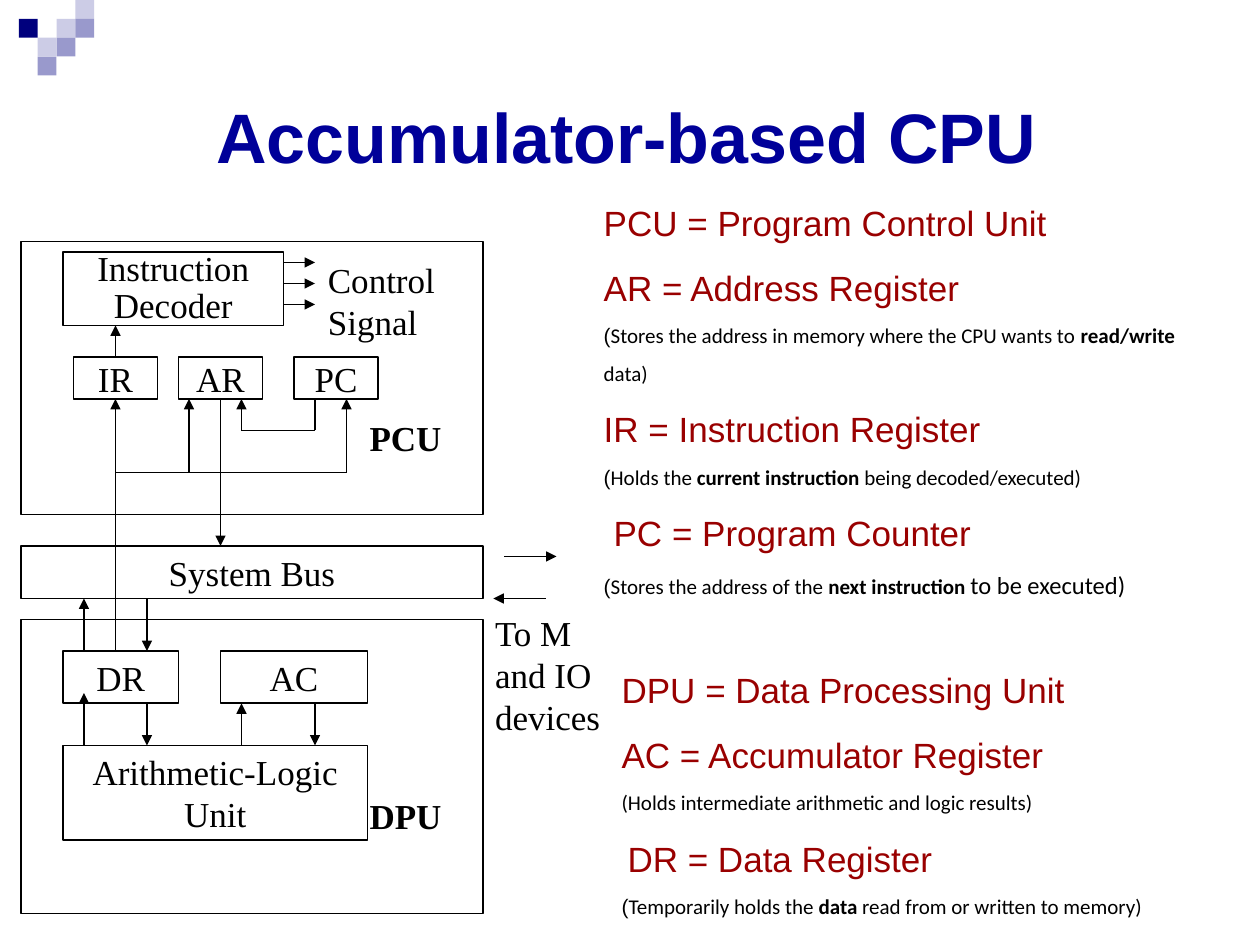
from dataclasses import dataclass, replace

from lxml.etree import SubElement
from pptx import Presentation
from pptx.dml.color import RGBColor
from pptx.enum.shapes import MSO_CONNECTOR, MSO_SHAPE
from pptx.enum.text import MSO_ANCHOR, MSO_AUTO_SIZE, PP_ALIGN
from pptx.oxml.ns import qn
from pptx.util import Cm, Pt

BLACK = RGBColor(0x00, 0x00, 0x00)
TITLE_BLUE = RGBColor(0x00, 0x00, 0x99)
TERM_RED = RGBColor(0x99, 0x00, 0x00)
NAVY = RGBColor(0x00, 0x00, 0x7D)
LILAC = RGBColor(0x99, 0x99, 0xCC)
PALE_LILAC = RGBColor(0xCC, 0xCC, 0xE6)

TOP, BOTTOM = 0, 2  # connection sites of a rectangle


@dataclass
class Ink:
    font: str
    size: int
    color: RGBColor = BLACK
    bold: bool = False


TITLE = Ink("Arial", 40, TITLE_BLUE, True)
TERM = Ink("Arial", 20, TERM_RED)
BRACKET = Ink("Arial", 12)
NOTE = Ink("Calibri", 12)
STRONG = replace(NOTE, bold=True)
LARGE_NOTE = replace(NOTE, size=14)
DIAGRAM = Ink("Times New Roman", 20)
UNIT = replace(DIAGRAM, bold=True)


def grid(steps):
    """The diagram sits on a grid of twelve steps to 2.54 cm."""
    return Cm(2.54 * steps / 12)


class SlideBuilder:
    line_width = Pt(1)
    square = 0.38

    def __init__(self, slide):
        self.slide = slide
        self.shapes = slide.shapes

    def add_runs(self, paragraph, runs):
        for text, ink in runs:
            run = paragraph.add_run()
            run.text = text
            run.font.name = ink.font
            run.font.size = Pt(ink.size)
            run.font.bold = ink.bold
            run.font.color.rgb = ink.color

    def frame(self, shape, side=0.0, top=0.03, anchor=MSO_ANCHOR.TOP):
        frame = shape.text_frame
        frame.word_wrap = True
        frame.auto_size = MSO_AUTO_SIZE.NONE
        frame.vertical_anchor = anchor
        frame.margin_left = frame.margin_right = Cm(side)
        frame.margin_top, frame.margin_bottom = Cm(top), 0
        return frame

    def place(self, shape, left, top, width, height):
        shape.left, shape.top = Cm(left), Cm(top)
        shape.width, shape.height = Cm(width), Cm(height)

    def title(self, text, *area):
        heading = self.shapes.title
        self.place(heading, *area)
        paragraph = self.frame(heading).paragraphs[0]
        paragraph.alignment = PP_ALIGN.CENTER
        self.add_runs(paragraph, [(text, TITLE)])

    def glossary(self, index, entries, *area):
        """Each entry is an indent in cm and its runs."""
        body = self.slide.placeholders[index]
        self.place(body, *area)
        frame = self.frame(body)
        for number, (indent, runs) in enumerate(entries):
            paragraph = frame.add_paragraph() if number else frame.paragraphs[0]
            paragraph.line_spacing = 1.5
            paragraph.space_before = Pt(0.9)
            properties = paragraph._p.get_or_add_pPr()
            properties.set("marL", str(Cm(0.03 + indent)))
            properties.set("indent", "0")
            SubElement(properties, qn("a:buNone"))
            self.add_runs(paragraph, runs)

    def tile(self, column, row, color):
        step = Cm(self.square)
        tile = self.shapes.add_shape(
            MSO_SHAPE.RECTANGLE, column * step, row * step, step, step)
        tile.shadow.inherit = False
        tile.fill.solid()
        tile.fill.fore_color.rgb = color
        tile.line.fill.background()

    def block(self, area, *lines, spacing=None):
        block = self.shapes.add_shape(MSO_SHAPE.RECTANGLE, *map(grid, area))
        block.shadow.inherit = False
        block.fill.background()
        block.line.color.rgb = BLACK
        block.line.width = self.line_width
        frame = self.frame(block, 0.1, 0, MSO_ANCHOR.MIDDLE)
        for number, text in enumerate(lines):
            paragraph = frame.add_paragraph() if number else frame.paragraphs[0]
            paragraph.alignment = PP_ALIGN.CENTER
            paragraph.line_spacing = spacing
            self.add_runs(paragraph, [(text, DIAGRAM)])
        return block

    def label(self, text, ink, *area):
        box = self.shapes.add_textbox(*map(Cm, area))
        self.add_runs(self.frame(box, 0.03, 0.06).paragraphs[0], [(text, ink)])

    def wire(self, start, end, arrow=True, begin=None, finish=None):
        wire = self.shapes.add_connector(
            MSO_CONNECTOR.STRAIGHT, *map(grid, start + end))
        if begin:
            wire.begin_connect(*begin)
        if finish:
            wire.end_connect(*finish)
        wire.line.color.rgb = BLACK
        wire.line.width = self.line_width
        properties = wire._element.spPr
        if arrow:
            SubElement(properties.find(qn("a:ln")), qn("a:tailEnd"), type="triangle")
        SubElement(properties, qn("a:effectLst"))


def main():
    deck = Presentation()
    deck.slide_width, deck.slide_height = Cm(25.4), Cm(19.05)
    page = SlideBuilder(deck.slides.add_slide(deck.slide_layouts[3]))

    # Corner ornament
    for color, cells in (
        (PALE_LILAC, [(3, 1), (4, 0), (2, 2)]),
        (LILAC, [(4, 1), (3, 2), (2, 3)]),
        (NAVY, [(1, 1)]),
    ):
        for column, row in cells:
            page.tile(column, row, color)

    page.title("Accumulator-based CPU", 2.2, 1.85, 20.85, 1.75)

    # Units and registers, in grid steps
    page.block((2, 23, 44, 26))
    page.block((2, 52, 44, 5), "System Bus")
    page.block((2, 59, 44, 28))
    page.block((6, 24, 21, 7), "Instruction", "Decoder", spacing=Pt(21))
    ir, ar, _ = [page.block((left, 34, 8, 4), name)
                 for left, name in ((7, "IR"), (17, "AR"), (28, "PC"))]
    page.block((6, 62, 11, 5), "DR")
    page.block((21, 62, 14, 5), "AC")
    page.block((6, 71, 29, 9), "Arithmetic-Logic Unit")

    # Links joined to a register
    page.wire((11, 34), (11, 31), begin=(ir, TOP))
    page.wire((11, 62), (11, 38), finish=(ir, BOTTOM))
    page.wire((21, 38), (21, 52), begin=(ar, BOTTOM))

    # Plain stretches of the bent links
    for start, end in (
        ((11, 45), (33, 45)),
        ((30, 38), (30, 41)),
        ((30, 41), (23, 41)),
    ):
        page.wire(start, end, arrow=False)

    # Vertical arrows: column, from row, to row
    for column, begin_row, end_row in (
        (33, 45, 38), (18, 45, 38), (23, 41, 38),  # into PC and AR
        (14, 57, 62), (8, 62, 57),                 # bus and DR
        (8, 71, 66), (14, 67, 71),                 # DR and ALU
        (23, 71, 67), (30, 67, 71),                # AC and ALU
    ):
        page.wire((column, begin_row), (column, end_row))

    # Control signals, then traffic to memory and IO
    for row in (25, 27, 29):
        page.wire((27, row), (30, row))
    page.wire((48, 53), (53, 53))
    page.wire((52, 57), (47, 57))

    # Diagram labels
    page.label("To M and IO devices", DIAGRAM, 9.95, 12.27, 2.25, 2.62)
    page.label("PCU", UNIT, 7.42, 8.33, 1.6, 0.91)
    page.label("DPU", UNIT, 7.42, 15.95, 1.6, 0.91)
    page.label("Control Signal", DIAGRAM, 6.58, 5.16, 2.3, 1.78)

    # Glossary of the control unit
    page.glossary(1, [
        (0, [("PCU = Program Control Unit", TERM)]),
        (0, [("AR = Address Register", TERM)]),
        (0, [("(", BRACKET),
             ("Stores the address in memory where the CPU wants to ", NOTE),
             ("read/write", STRONG), (" data)", NOTE)]),
        (0, [("IR = Instruction Register", TERM)]),
        (0, [("(", BRACKET), ("Holds the ", NOTE),
             ("current instruction", STRONG), (" being decoded/executed)", NOTE)]),
        (0.2, [("PC = Program Counter", TERM)]),
        (0, [("(", BRACKET), ("Stores the address of the ", NOTE),
             ("next instruction ", STRONG), ("to be executed)", LARGE_NOTE)]),
    ], 12.14, 3.61, 12.37, 8.41)

    # Glossary of the data unit
    page.glossary(2, [
        (0, [("DPU = Data Processing Unit", TERM)]),
        (0, [("AC = Accumulator Register", TERM)]),
        (0, [("(Holds intermediate arithmetic and logic results)", NOTE)]),
        (0.12, [("DR = Data Register", TERM)]),
        (0, [("(", BRACKET), ("Temporarily holds the ", NOTE),
             ("data", STRONG), (" read from or written to memory)", NOTE)]),
    ], 12.5, 13.03, 12.5, 5.44)

    deck.save("out.pptx")


if __name__ == "__main__":
    main()
